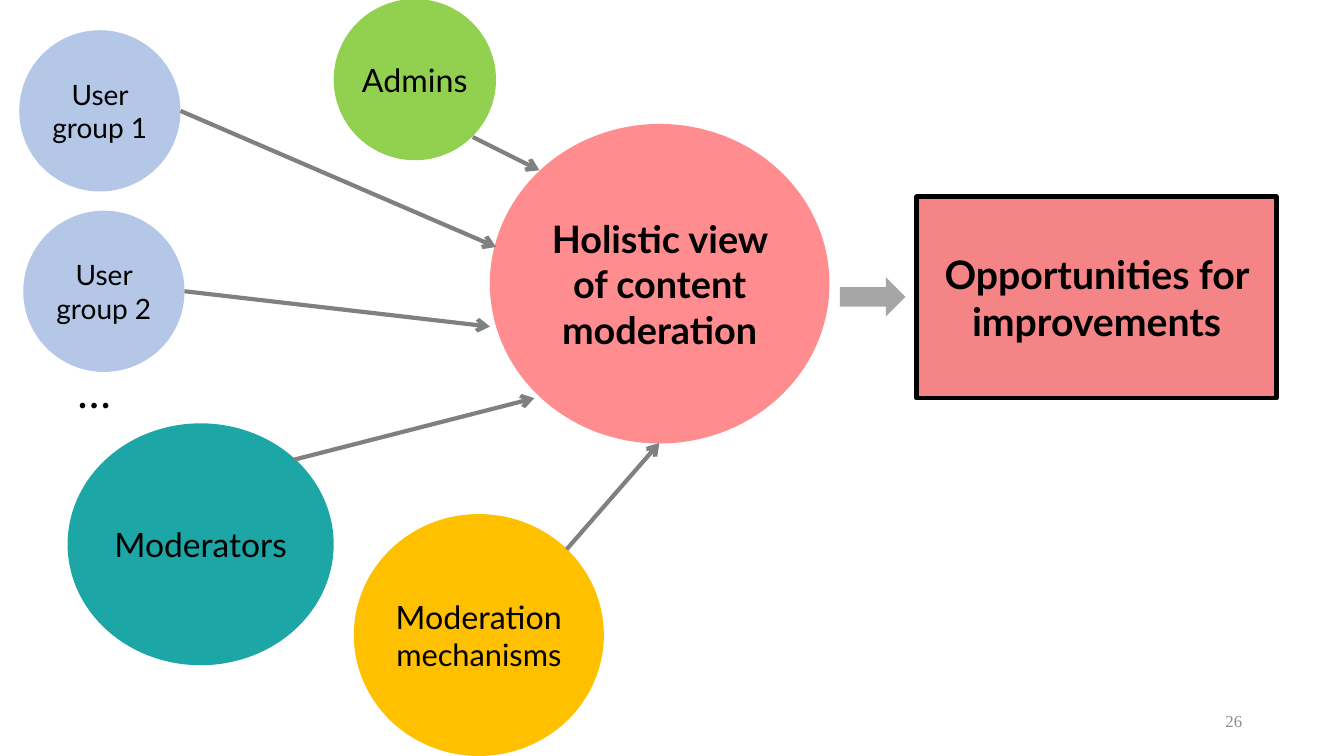
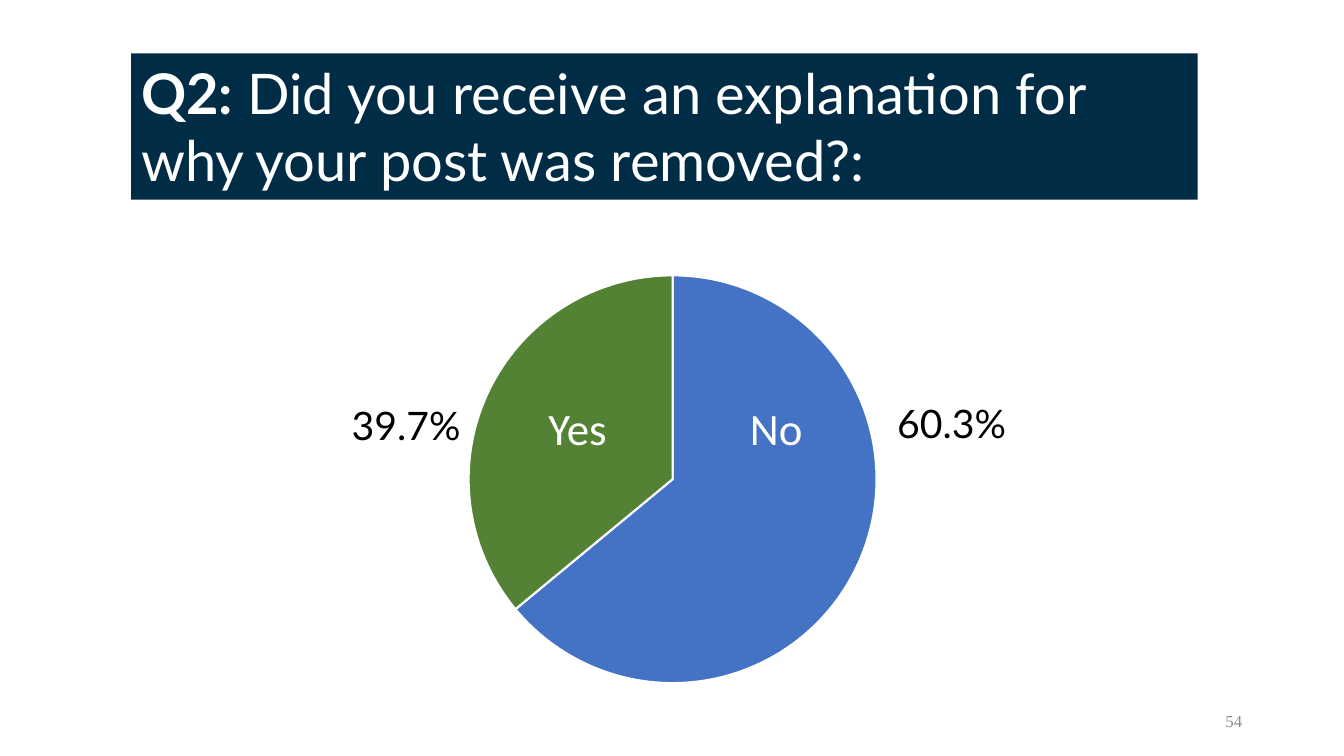
from lxml import etree
from pptx import Presentation
from pptx.chart.data import CategoryChartData
from pptx.dml.color import RGBColor
from pptx.enum.chart import XL_CHART_TYPE
from pptx.enum.shapes import MSO_CONNECTOR, MSO_SHAPE
from pptx.enum.text import MSO_ANCHOR, MSO_AUTO_SIZE, PP_ALIGN
from pptx.oxml import parse_xml
from pptx.oxml.ns import nsdecls, qn
from pptx.util import Inches, Pt

OVAL, RECT, ARROW = MSO_SHAPE.OVAL, MSO_SHAPE.RECTANGLE, MSO_SHAPE.RIGHT_ARROW
TOP, MIDDLE = MSO_ANCHOR.TOP, MSO_ANCHOR.MIDDLE
LEFT, CENTER, RIGHT = PP_ALIGN.LEFT, PP_ALIGN.CENTER, PP_ALIGN.RIGHT
PIE, LINE, FIXED = XL_CHART_TYPE.PIE, MSO_CONNECTOR.STRAIGHT, MSO_AUTO_SIZE.NONE
rgb = RGBColor.from_string
BLACK, WHITE, GRAY, NAVY = "000000", "FFFFFF", "808080", "002C46"
FONT = "Lato"

deck = Presentation()
deck.slide_width, deck.slide_height = Inches(13.33), Inches(7.5)


def share(*spot):
    sides = (deck.slide_width, deck.slide_height) * 2
    return [round(part * side / 100) for part, side in zip(spot, sides)]


def write(shape, runs, align=LEFT, anchor=TOP, wrap=True, font=FONT):
    frame = shape.text_frame
    frame.auto_size = FIXED
    frame.word_wrap = wrap
    frame.vertical_anchor = anchor
    para = frame.paragraphs[0]
    para.alignment = align
    for text, size, color, bold in runs:
        run = para.add_run()
        run.text = text
        run.font.name, run.font.size, run.font.bold = font, Pt(size), bold
        run.font.color.rgb = rgb(color)


flow = deck.slides.add_slide(deck.slide_layouts[6])
poll = deck.slides.add_slide(deck.slide_layouts[5])
for slide, number in ((flow, "26"), (poll, "54")):
    box = slide.shapes.add_textbox(*share(70.67, 92.67, 22.5, 5.33))
    write(box, [(number, 12, "8C8C8C", False)], RIGHT, MIDDLE, font="Times New Roman")

nodes = [
    (OVAL, (36.45, 16.4, 25.27, 42.27), "FF8C8E", None,
     [("Holistic view of content moderation", 27, BLACK, True)]),
    (OVAL, (1.43, 4, 12, 21.33), "B4C7E7", 0, [("User group 1", 20, BLACK, False)]),
    (OVAL, (1.73, 27.87, 12, 21.33), "B4C7E7", 0, [("User group 2", 20, BLACK, False)]),
    (OVAL, (24.83, -0.13, 12.08, 21.33), "92D050", 0, [("Admins", 23, BLACK, False)]),
    (OVAL, (5.03, 56, 19.8, 32), "1DA6A6", 0, [("Moderators", 24, BLACK, False)]),
    (OVAL, (26.33, 68, 18.6, 32), "FFC000", 0,
     [("Moderation ", 23, BLACK, False), ("mechanisms", 22, BLACK, False)]),
    (RECT, (68.2, 26, 26.78, 26.67), "F58486", None,
     [("Opportunities for improvements", 28, BLACK, True)]),
    (ARROW, (62.5, 36.67, 4.88, 5.2), "A6A6A6", None, []),
]
for kind, spot, fill, inset, runs in nodes:
    node = flow.shapes.add_shape(kind, *share(*spot))
    node.shadow.inherit = False
    node.fill.solid()
    node.fill.fore_color.rgb = rgb(fill)
    if kind == RECT:
        node.line.color.rgb = rgb(BLACK)
        node.line.width = Pt(3)
    else:
        node.line.fill.background()
    if inset is not None:
        node.text_frame.margin_left = node.text_frame.margin_right = inset
    write(node, runs, CENTER, MIDDLE)

links = [
    (13.43, 14.67, 36.91, 32.67),
    (13.73, 38.53, 36.45, 43.2),
    (21.9, 60.8, 39.76, 52.67),
    (42.16, 72.67, 49.06, 58.6),
    (35.18, 18.13, 40.13, 22.53),
]
for ends in links:
    link = flow.shapes.add_connector(LINE, *share(*ends))
    link.line.color.rgb = rgb(GRAY)
    link.line.width = Pt(3)
    etree.SubElement(link.line._get_or_add_ln(), qn("a:tailEnd"), type="arrow")
    etree.SubElement(link._element.spPr, qn("a:effectLst"))

dots = flow.shapes.add_textbox(*share(5.03, 47.47, 4.88, 8.53))
write(dots, [("…", 32, BLACK, False)], wrap=False)

title = poll.shapes.title
title.left, title.top, title.width, title.height = share(9.75, 7.07, 79.37, 19.33)
title.fill.solid()
title.fill.fore_color.rgb = rgb(NAVY)
write(title, [
    ("Q2:", 40, WHITE, True),
    (" Did you receive an explanation for why your post was removed?:", 40, WHITE, False),
])

data = CategoryChartData()
data.categories = ["1", "2"]
data.add_series("Series 1", (64, 36))
chart = poll.shapes.add_chart(PIE, *share(20.86, 34.27, 58.37, 58.27), data).chart
chart.has_legend = chart.has_title = False
chart.font.name, chart.font.size = "Calibri", Pt(10)
chart.font.color.rgb = rgb(BLACK)
plot = chart.plots[0]
plot.vary_by_categories = True
for i, color in enumerate(("4472C4", "548235")):
    slice = plot.series[0].points[i].format
    slice.fill.solid()
    slice.fill.fore_color.rgb = rgb(color)
    slice.line.color.rgb = rgb(WHITE)
    slice.line.width = Pt(1.5)
area = chart._chartSpace.chart.plotArea
for old in area.findall(qn("c:layout")):
    area.remove(old)
area.insert(0, parse_xml(
    f'<c:layout {nsdecls("c")}><c:manualLayout><c:layoutTarget val="inner"/>'
    '<c:xMode val="edge"/><c:yMode val="edge"/><c:x val="0.24"/><c:y val="0.03"/>'
    '<c:w val="0.52"/><c:h val="0.94"/></c:manualLayout></c:layout>'))

labels = [
    ("Yes", (40.06, 52.4, 6.68, 8.53), 32, WHITE, True, "Calibri"),
    ("No", (55.06, 52.4, 6.15, 8.53), 32, WHITE, True, "Calibri"),
    ("39.7%", (25.43, 52.4, 8.48, 15.6), 28, BLACK, False, FONT),
    ("60.3%", (66.02, 52.13, 8.48, 15.6), 28, BLACK, False, FONT),
]
for text, spot, size, color, wrap, font in labels:
    label = poll.shapes.add_textbox(*share(*spot))
    write(label, [(text, size, color, False)], wrap=wrap, font=font)

deck.save("out.pptx")
